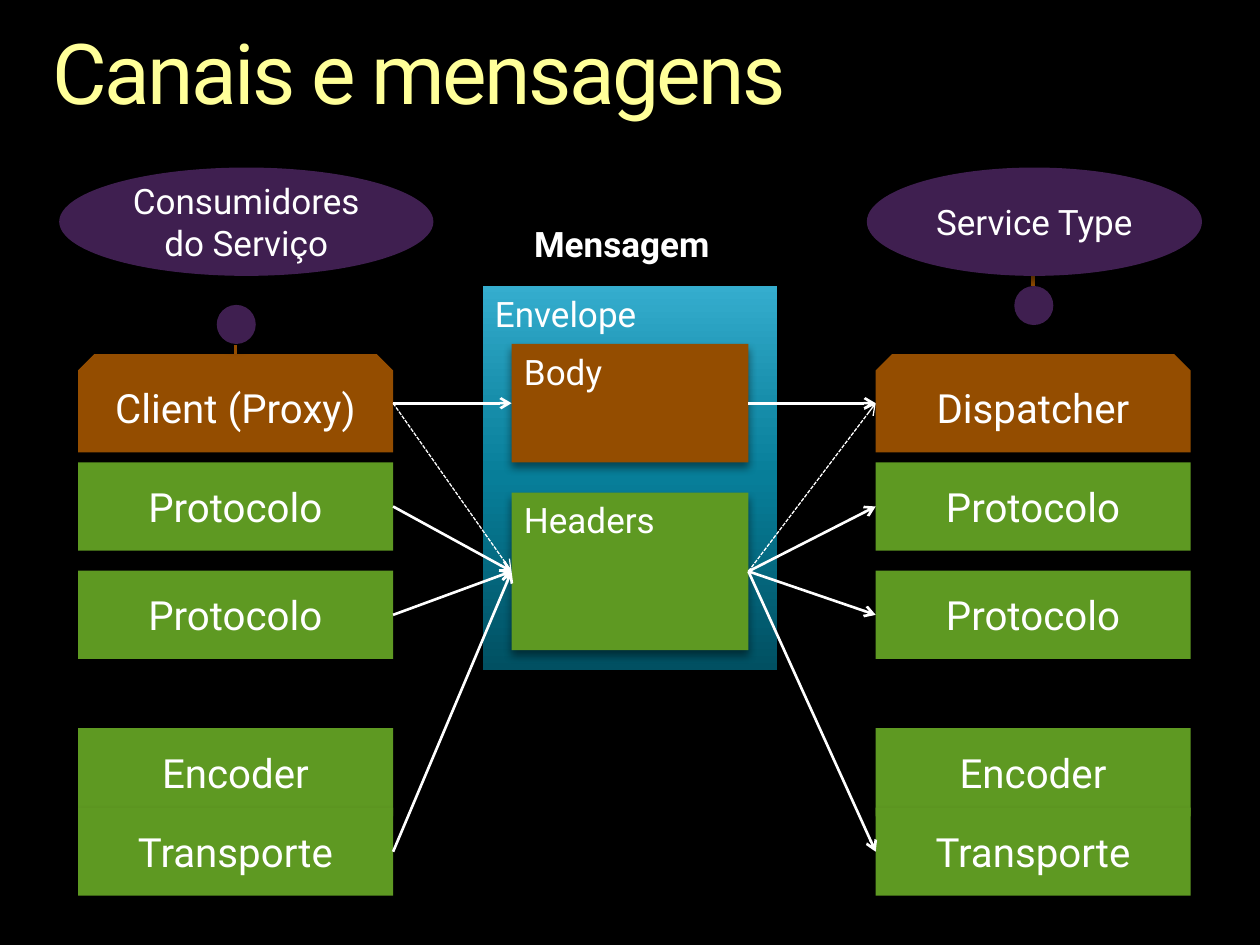
import pptx
import pptx.util
import pptx.dml.color
import pptx.enum.dml
import pptx.enum.shapes
import pptx.enum.text
import pptx.oxml.ns
import lxml.etree

Inches = pptx.util.Inches
Pt = pptx.util.Pt
RGB = pptx.dml.color.RGBColor.from_string
KIND = pptx.enum.shapes.MSO_SHAPE
ALIGN = pptx.enum.text.PP_ALIGN
ANCHOR = pptx.enum.text.MSO_ANCHOR
qn = pptx.oxml.ns.qn
SubElement = lxml.etree.SubElement

FONT = "Roboto"
COLOURS = {
    "background": "000000",
    "title": "FFFF99",
    "white": "FFFFFF",
    "green": "5E9922",
    "brown": "944D00",
    "purple": "3F1F50",
}
ENVELOPE_STOPS = [(0, "015062"), (50, "077E99"), (70, "178EAB"), (100, "35ADCE")]

deck = pptx.Presentation()
deck.slide_width = Inches(10)
deck.slide_height = Inches(7.5)
page = deck.slides.add_slide(deck.slide_layouts[6])
page.background.fill.solid()
page.background.fill.fore_color.rgb = RGB(COLOURS["background"])


def add_box(kind, left, top, width, height, colour, text="", size=20, centred=True):
    box = page.shapes.add_shape(kind, Inches(left), Inches(top), Inches(width), Inches(height))
    box.fill.solid()
    box.fill.fore_color.rgb = RGB(COLOURS[colour])
    box.line.fill.background()
    box.shadow.inherit = False
    effects = box._element.spPr.find(qn("a:effectLst"))
    shadow = SubElement(effects, qn("a:outerShdw"), blurRad=str(Pt(5)), dist=str(Pt(3)),
                        dir="5400000", rotWithShape="0")
    black = SubElement(shadow, qn("a:srgbClr"), val="000000")
    SubElement(black, qn("a:alpha"), val="45000")
    if text:
        frame = box.text_frame
        frame.word_wrap = True
        frame.vertical_anchor = ANCHOR.MIDDLE if centred else ANCHOR.TOP
        para = frame.paragraphs[0]
        para.alignment = ALIGN.CENTER if centred else ALIGN.LEFT
        span = para.add_run()
        span.text = text
        span.font.name = FONT
        span.font.size = Pt(size)
        span.font.color.rgb = RGB(COLOURS["white"])
    return box


def add_line(start, end, colour="white", width=1.5, arrow=True):
    line = page.shapes.add_connector(pptx.enum.shapes.MSO_CONNECTOR.STRAIGHT,
                                     *[Inches(value) for value in start + end])
    line.line.color.rgb = RGB(COLOURS[colour])
    line.line.width = Pt(width)
    if arrow:
        SubElement(line.line._get_or_add_ln(), qn("a:tailEnd"), type="arrow")
    SubElement(line._element.spPr, qn("a:effectLst"))
    return line


title = page.shapes.add_textbox(Inches(0.42), Inches(0.25), Inches(9.17), Inches(0.73))
frame = title.text_frame
frame.word_wrap = True
frame.margin_left = frame.margin_right = frame.margin_top = frame.margin_bottom = 0
para = frame.paragraphs[0]
para.line_spacing = 0.9
span = para.add_run()
span.text = "Canais e mensagens"
span.font.name = FONT
span.font.size = Pt(48)
span.font.color.rgb = RGB(COLOURS["title"])
span._r.get_or_add_rPr().set("spc", "-150")

CLIENT_LEFT, SERVICE_LEFT = 0.62, 6.95
STACK_WIDTH, LAYER_HEIGHT = 2.5, 0.7
LAYERS = [("Protocolo", 3.67), ("Protocolo", 4.53), ("Encoder", 5.78), ("Transporte", 6.41)]

stacks = []
for left, endpoint in [(CLIENT_LEFT, "Client (Proxy)"), (SERVICE_LEFT, "Dispatcher")]:
    add_box(KIND.SNIP_2_SAME_RECTANGLE, left, 2.81, STACK_WIDTH, 0.78, "brown", endpoint, 23)
    stacks.append([add_box(KIND.RECTANGLE, left, top, STACK_WIDTH, LAYER_HEIGHT, "green", name, 23)
                   for name, top in LAYERS])

add_box(KIND.OVAL, 1.72, 2.42, 0.31, 0.31, "purple")
add_line((1.87, 2.74), (1.87, 2.81), "brown", 2, False)
add_box(KIND.OVAL, 0.47, 1.33, 2.97, 0.86, "purple", "Consumidores do Serviço")
add_box(KIND.OVAL, 8.05, 2.27, 0.31, 0.31, "purple")
add_line((8.2, 2.27), (8.2, 2.19), "brown", 2, False)
add_box(KIND.OVAL, 6.88, 1.33, 2.66, 0.86, "purple", "Service Type")

envelope = add_box(KIND.RECTANGLE, 3.83, 2.27, 2.34, 3.05, "green", "Envelope", centred=False)
envelope.fill.gradient()
envelope.fill.gradient_angle = 90
stops = envelope._element.spPr.find(qn("a:gradFill")).find(qn("a:gsLst"))
for stop in list(stops):
    stops.remove(stop)
for position, colour in ENVELOPE_STOPS:
    stop = SubElement(stops, qn("a:gs"), pos=str(position * 1000))
    SubElement(stop, qn("a:srgbClr"), val=colour)

body = add_box(KIND.RECTANGLE, 4.06, 2.73, 1.88, 0.94, "brown", "Body", centred=False)
headers = add_box(KIND.RECTANGLE, 4.06, 3.91, 1.88, 1.25, "green", "Headers", centred=False)

PROXY, DISPATCHER = (CLIENT_LEFT + STACK_WIDTH, 3.2), (SERVICE_LEFT, 3.2)
for part, middle, width in [(body, 3.2, 1.5), (headers, 4.53, 0.75)]:
    incoming = add_line(PROXY, (4.06, middle), width=width)
    incoming.end_connect(part, 1)
    outgoing = add_line((5.94, middle), DISPATCHER, width=width)
    outgoing.begin_connect(part, 3)
    if part is headers:
        for line in (incoming, outgoing):
            line.line.dash_style = pptx.enum.dml.MSO_LINE.SQUARE_DOT

for index in (0, 1, 3):
    middle = LAYERS[index][1] + LAYER_HEIGHT / 2
    incoming = add_line((PROXY[0], middle), (4.06, 4.53))
    incoming.begin_connect(stacks[0][index], 3)
    incoming.end_connect(headers, 1)
    outgoing = add_line((5.94, 4.53), (SERVICE_LEFT, middle))
    outgoing.begin_connect(headers, 3)
    outgoing.end_connect(stacks[1][index], 1)

label = page.shapes.add_textbox(Inches(4.14), Inches(1.72), Inches(1.65), Inches(0.44))
label.text_frame.word_wrap = False
span = label.text_frame.paragraphs[0].add_run()
span.text = "Mensagem"
span.font.name = FONT
span.font.size = Pt(20)
span.font.bold = True
span.font.color.rgb = RGB(COLOURS["white"])

deck.save("out.pptx")
